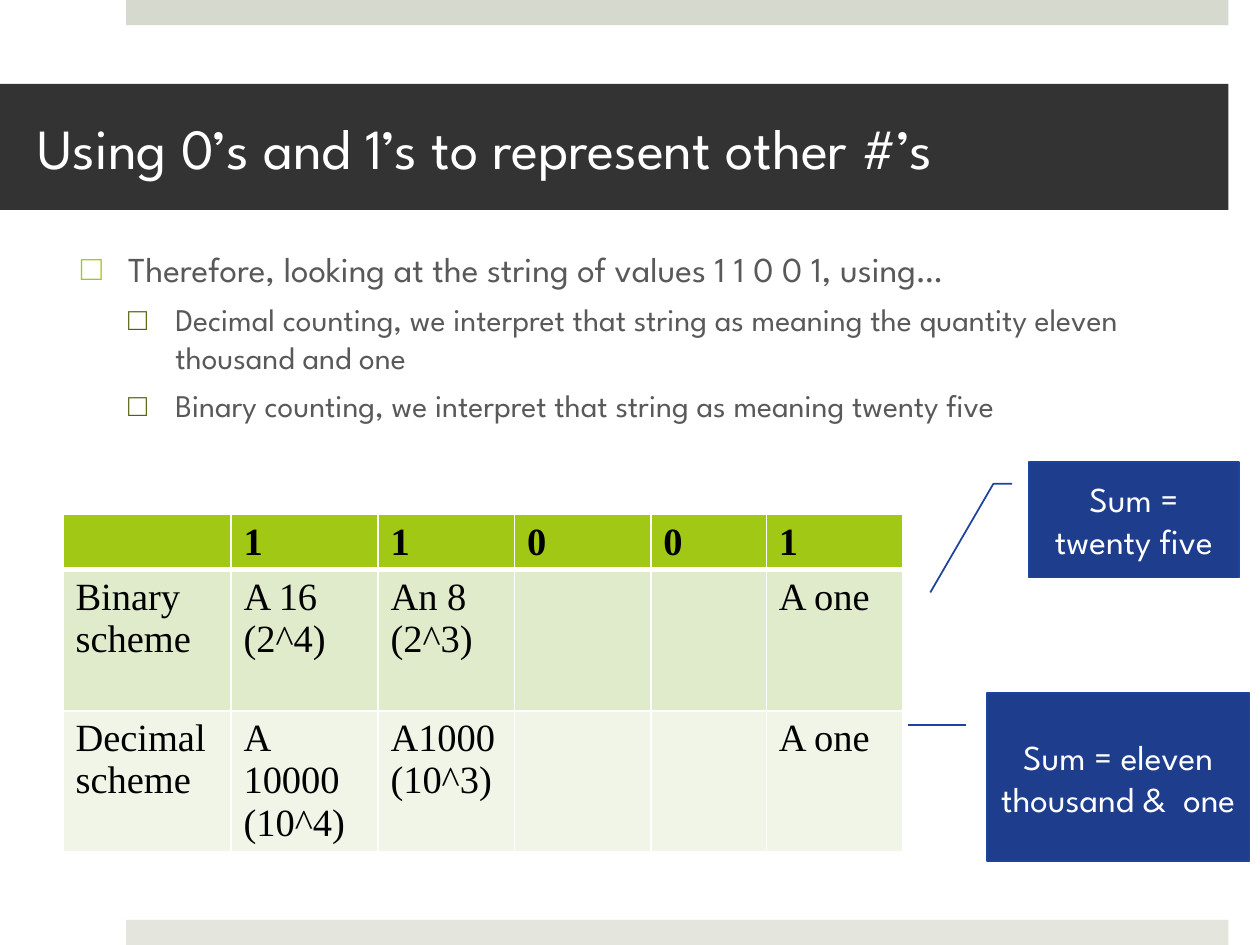
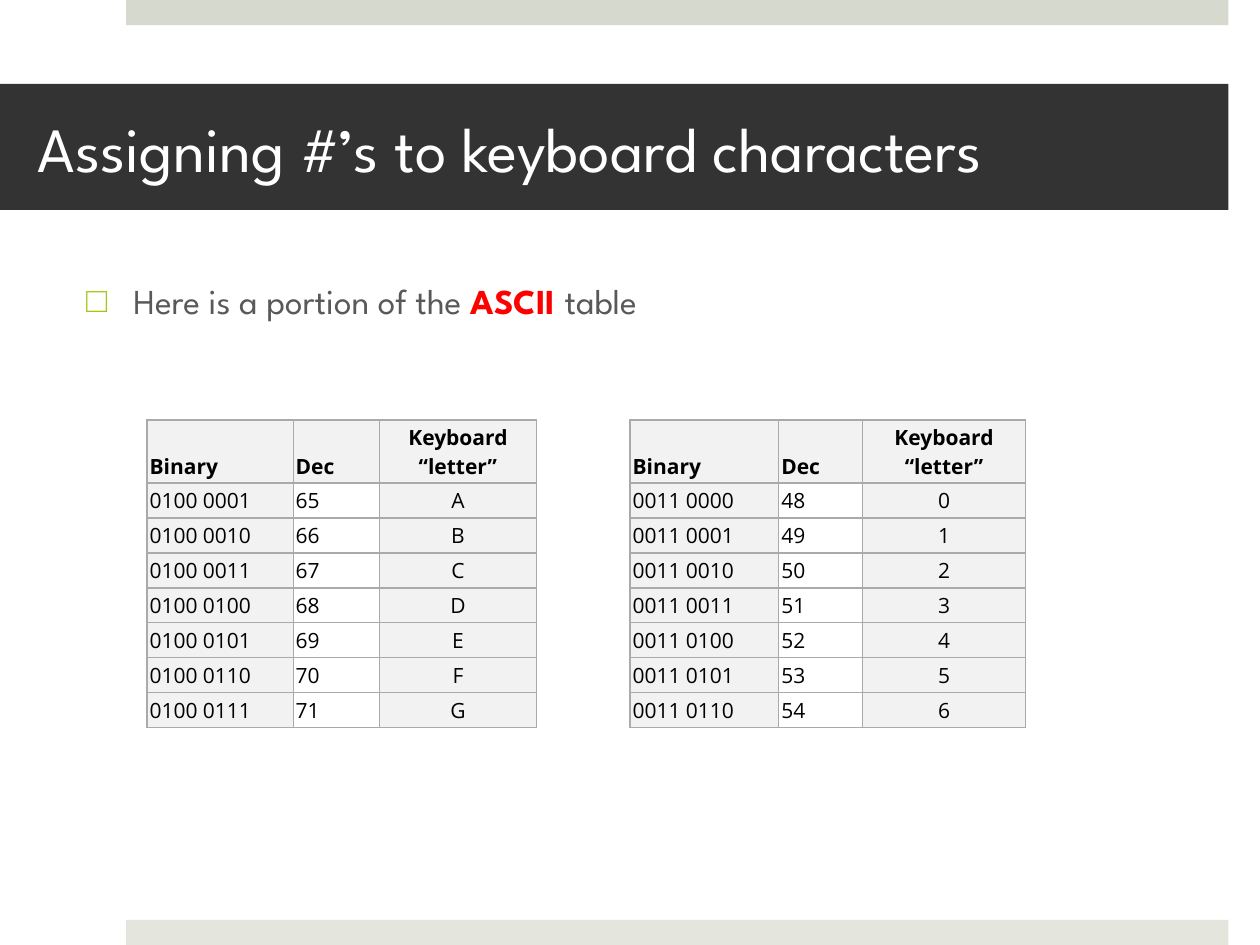
from lxml.etree import SubElement as Sub
from pptx import Presentation
from pptx.dml.color import RGBColor as Rgb
from pptx.enum.shapes import MSO_SHAPE as Form
from pptx.enum.text import MSO_ANCHOR as Anchor, MSO_AUTO_SIZE as Auto, PP_ALIGN as Align
from pptx.oxml.ns import qn
from pptx.util import Pt

WHITE = Rgb(0xFF, 0xFF, 0xFF)
BLACK = Rgb(0, 0, 0)
RED = Rgb(0xFF, 0, 0)
DARK = Rgb(0x33, 0x33, 0x33)
GREY = Rgb(0x59, 0x59, 0x59)
TOP = Rgb(0xD6, 0xD9, 0xCD)
FOOT = Rgb(0xE4, 0xE6, 0xDE)
LIME = Rgb(0xA2, 0xC8, 0x16)
OLIVE = Rgb(0x51, 0x64, 0x0B)
MINT = Rgb(0xE0, 0xEB, 0xCC)
PALE = Rgb(0xF0, 0xF5, 0xE8)
BLUE = Rgb(0x1E, 0x3E, 0x8D)
EDGE = Rgb(0x1E, 0x43, 0x9E)
MIST = Rgb(0xF2, 0xF2, 0xF2)
RULE = Rgb(0xAA, 0xAA, 0xAA)
SANS, SERIF, OPEN = "League Spartan", "Times New Roman", "Open Sans"
LEVELS = [(20, 20, 27, LIME), (18, 6, 54, OLIVE)]


class Deck:
    """Holds the deck's style and its current slide."""

    def __init__(self):
        self.prs = Presentation()
        self.prs.slide_width, self.prs.slide_height = Pt(720), Pt(540)

    def start(self, title, size):
        self.slide = self.prs.slides.add_slide(self.prs.slide_layouts[1])
        self.shapes = self.slide.shapes
        self.band(0, TOP)
        self.band(525.6, FOOT)
        head = self.shapes.title
        self.place(head, 0, 48, 702, 72)
        self.paint(head, DARK)
        frame = head.text_frame
        frame.auto_size = Auto.NONE
        frame.vertical_anchor = Anchor.MIDDLE
        frame.margin_left = frame.margin_right = Pt(21.6)
        self.words(frame.paragraphs[0], title, size, SANS, WHITE)

    def place(self, shape, x, y, w, h):
        shape.left, shape.top, shape.width, shape.height = Pt(x), Pt(y), Pt(w), Pt(h)

    def paint(self, shape, color):
        shape.fill.solid()
        shape.fill.fore_color.rgb = color

    def words(self, para, text, size, face, color, bold=False, align=Align.LEFT):
        para.alignment = align
        for i, line in enumerate(text.split("\n")):
            if i:
                para.add_line_break()
            run = para.add_run()
            run.text = line
            font = run.font
            font.size, font.name, font.bold = Pt(size), face, bold
            font.color.rgb = color

    def band(self, y, color):
        bar = self.shapes.add_shape(Form.RECTANGLE, Pt(72), Pt(y), Pt(630), Pt(14.4))
        bar.shadow.inherit = False
        self.paint(bar, color)
        bar.line.fill.background()

    def list(self, box, items):
        body = self.slide.placeholders[1]
        self.place(body, *box)
        frame = body.text_frame
        frame.auto_size = Auto.NONE
        for i, (level, runs) in enumerate(items):
            para = frame.add_paragraph() if i else frame.paragraphs[0]
            size, gap, indent, mark = LEVELS[level]
            para.level = level
            para.space_before = Pt(gap)
            for text, color, bold in runs:
                self.words(para, text, size, SANS, color, bold)
            props = para._p.get_or_add_pPr()
            props.set("marL", str(Pt(indent)))
            props.set("indent", str(-Pt(27)))
            Sub(Sub(props, qn("a:buClr")), qn("a:srgbClr"), val=str(mark))
            Sub(props, qn("a:buChar"), char="□")

    def table(self, x, y, cols, rows):
        frame = self.shapes.add_table(
            len(rows), len(cols), Pt(x), Pt(y), Pt(sum(cols)), Pt(sum(rows)))
        grid = frame.table
        grid.first_row = grid.horz_banding = False
        for col, wide in zip(grid.columns, cols):
            col.width = Pt(wide)
        for row, high in zip(grid.rows, rows):
            row.height = Pt(high)
        return grid

    def cell(self, cell, text, size, face, fill, line, bold, align=Align.LEFT, base=None):
        self.paint(cell, fill)
        if text:
            self.words(cell.text_frame.paragraphs[0], text, size, face, BLACK, bold, align)
        props = cell._tc.get_or_add_tcPr()
        color, width = line
        for i, side in enumerate("LRTB"):
            thick = base if base and side == "B" else width
            edge = Sub(props, qn("a:ln" + side), w=str(Pt(thick)))
            Sub(Sub(edge, qn("a:solidFill")), qn("a:srgbClr"), val=str(color))
            props.insert(i, edge)

    def sums(self, x, y, cols, rows, data):
        grid = self.table(x, y, cols, rows)
        for r, (fill, row) in enumerate(zip((LIME, MINT, PALE), data)):
            for c, text in enumerate(row):
                self.cell(grid.cell(r, c), text, 22, SERIF, fill, (WHITE, 1),
                          r == 0, base=None if r else 3)

    def codes(self, x, cols, first):
        data = [("Binary", "Dec", "Keyboard “letter”")]
        data += [(f"{n >> 4:04b} {n & 15:04b}", str(n), chr(n))
                 for n in range(first, first + 7)]
        grid = self.table(x, 240, cols, [36] + [20] * 7)
        for r, row in enumerate(data):
            for c, text in enumerate(row):
                cell = grid.cell(r, c)
                cell.margin_left = cell.margin_right = Pt(1.5)
                cell.margin_top = cell.margin_bottom = Pt(1.5)
                cell.vertical_anchor = Anchor.MIDDLE if r else Anchor.BOTTOM
                self.cell(cell, text, 12, OPEN, WHITE if r and c == 1 else MIST,
                          (RULE, 0.75), r == 0, Align.CENTER if c == 2 else Align.LEFT)

    def callout(self, box, text, tip):
        note = self.shapes.add_shape(Form.LINE_CALLOUT_2, *map(Pt, box))
        note.shadow.inherit = False
        for i, value in enumerate((0.19, -0.08, 0.19, -0.17, *tip)):
            note.adjustments[i] = value
        self.paint(note, BLUE)
        note.line.color.rgb, note.line.width = EDGE, Pt(1)
        frame = note.text_frame
        frame.word_wrap = True
        frame.vertical_anchor = Anchor.MIDDLE
        self.words(frame.paragraphs[0], text, 20, SANS, WHITE, align=Align.CENTER)


def main():
    deck = Deck()
    deck.start("Using 0’s and 1’s to represent other #’s", 32.4)
    lines = [
        (0, "Therefore, looking at the string of values 1 1 0 0 1, using…"),
        (1, "Decimal counting, we interpret that string as meaning "
            "the quantity eleven thousand and one"),
        (1, "Binary counting, we interpret that string as meaning twenty five"),
    ]
    deck.list((39, 138, 645, 338),
              [(level, [(text, GREY, False)]) for level, text in lines])
    deck.sums(36, 294, [96, 84, 78, 78, 66, 78], [30.4, 80.6, 80], [
        ("", "1", "1", "0", "0", "1"),
        ("Binary \nscheme", "A 16 (2^4)", "An 8 (2^3)", "", "", "A one"),
        ("Decimal \nscheme", "A 10000 (10^4)", "A1000 (10^3)", "", "", "A one"),
    ])
    deck.callout((588, 264, 120, 66), "Sum = twenty five", (1.13, -0.47))
    deck.callout((564, 396, 150, 96), "Sum = eleven thousand &  one", (0.19, -0.3))

    deck.start("Assigning #’s to keyboard characters", 36)
    deck.list((42, 156, 618, 324), [(0, [
        ("Here is a portion of the ", GREY, False),
        ("ASCII ", RED, True),
        ("table", GREY, False),
    ])])
    deck.codes(360, [85, 48, 93], 48)
    deck.codes(84, [83.5, 49.5, 89.5], 65)
    deck.prs.save("out.pptx")


if __name__ == "__main__":
    main()
